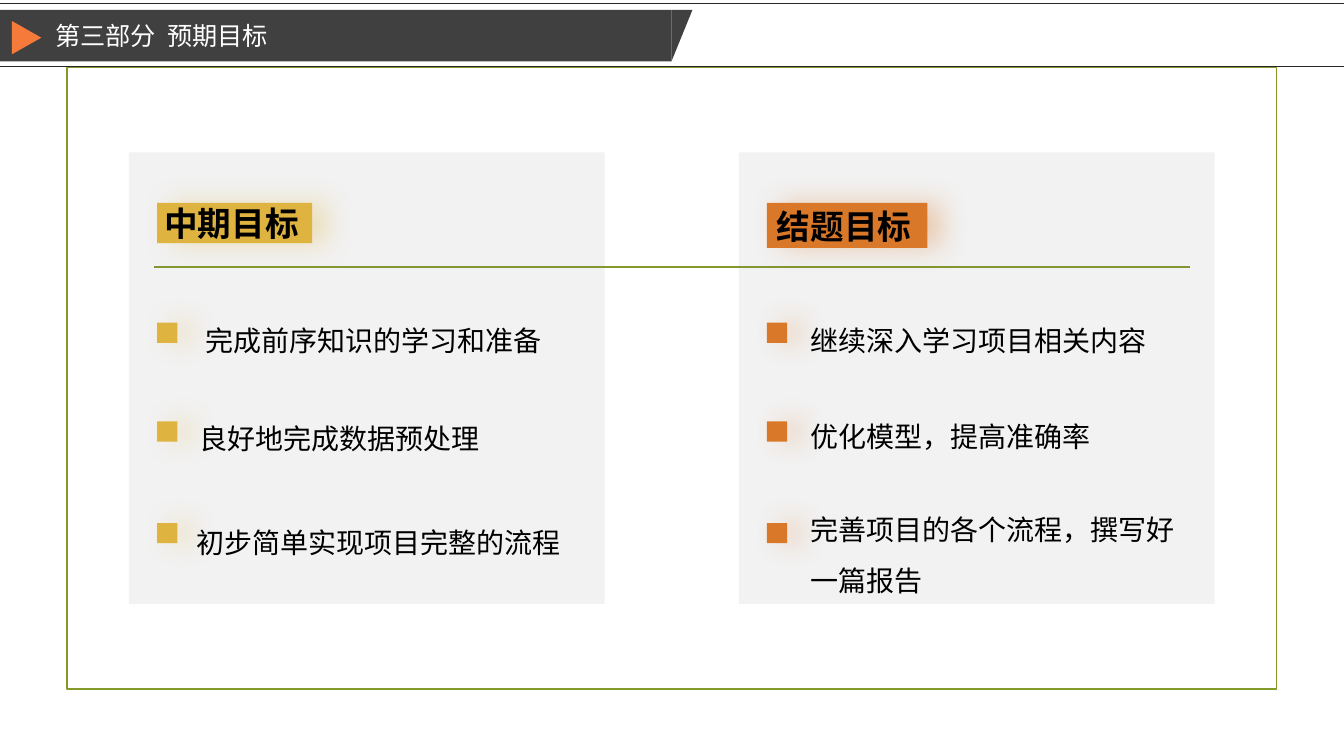
from dataclasses import dataclass

from lxml.etree import SubElement
from pptx import Presentation
from pptx.dml.color import RGBColor
from pptx.enum.shapes import MSO_CONNECTOR, MSO_SHAPE
from pptx.enum.text import MSO_ANCHOR, MSO_AUTO_SIZE, PP_ALIGN
from pptx.oxml.ns import qn
from pptx.util import Cm, Pt


@dataclass(frozen=True)
class Theme:
    font: str = "Arial"
    black: str = "000000"
    white: str = "FFFFFF"
    green: str = "83992A"
    rule: str = "262626"
    header: str = "404040"
    arrow: str = "F67A3A"
    card: str = "808080"
    yellow: str = "DEB340"
    orange: str = "D97828"
    title_size: int = 18
    heading_size: int = 24
    body_size: int = 20


def write_text(shape, text, size, color, font, bold=False, spacing=1.0,
               anchor=MSO_ANCHOR.TOP, wrap=True):
    frame = shape.text_frame
    frame.text = text
    frame.word_wrap = wrap
    frame.auto_size = MSO_AUTO_SIZE.SHAPE_TO_FIT_TEXT
    frame.vertical_anchor = anchor
    frame.margin_left = frame.margin_right = Cm(0.25)
    frame.margin_top = frame.margin_bottom = Cm(0.13)
    paragraph = frame.paragraphs[0]
    paragraph.alignment = PP_ALIGN.LEFT
    paragraph.line_spacing = spacing
    run = paragraph.runs[0]
    run.font.name = font
    run.font.size = Pt(size)
    run.font.bold = bold
    run.font.color.rgb = RGBColor.from_string(color)


class SlideBuilder:
    def __init__(self, slide, theme):
        self.slide = slide
        self.theme = theme

    def shape(self, kind, left, top, width, height, fill=None, line=None,
              opacity=None, glow=False, rotation=0):
        shape = self.slide.shapes.add_shape(
            kind, Cm(left), Cm(top), Cm(width), Cm(height))
        shape.shadow.inherit = False
        shape.rotation = rotation
        if fill:
            shape.fill.solid()
            shape.fill.fore_color.rgb = RGBColor.from_string(fill)
        else:
            shape.fill.background()
        if line:
            shape.line.color.rgb = RGBColor.from_string(line)
            shape.line.width = Pt(1.25)
        else:
            shape.line.fill.background()
        properties = shape._element.spPr
        if opacity:
            color = properties.find(qn("a:solidFill"))[0]
            SubElement(color, qn("a:alpha"), val=str(opacity * 1000))
        if glow:
            shadow = SubElement(
                properties.find(qn("a:effectLst")), qn("a:outerShdw"),
                blurRad=str(Pt(20)), dist=str(Pt(10)), dir="0",
                algn="l", rotWithShape="0")
            color = SubElement(shadow, qn("a:srgbClr"), val=fill)
            SubElement(color, qn("a:alpha"), val="32000")
        return shape

    def horizontal_line(self, left, right, top, color, width):
        line = self.slide.shapes.add_connector(
            MSO_CONNECTOR.STRAIGHT, Cm(left), Cm(top), Cm(right), Cm(top))
        line.line.color.rgb = RGBColor.from_string(color)
        line.line.width = Pt(width)
        SubElement(line._element.spPr, qn("a:effectLst"))

    def text(self, text, left, top, width, height, **style):
        box = self.slide.shapes.add_textbox(
            Cm(left), Cm(top), Cm(width), Cm(height))
        write_text(box, text, color=self.theme.black, font=self.theme.font,
                   **style)

    def title(self, text, left, top, width, height):
        title = self.slide.shapes.title
        title.left, title.top = Cm(left), Cm(top)
        title.width, title.height = Cm(width), Cm(height)
        write_text(title, text, self.theme.title_size, self.theme.white,
                   self.theme.font, wrap=False)
        self.slide.shapes._spTree.append(title._element)

    def header(self, text):
        theme = self.theme
        for top in (0.1, 1.68):
            self.horizontal_line(0, 33.87, top, theme.rule, 0.75)
        self.shape(MSO_SHAPE.RECTANGLE, 0, 0.25, 16.92, 1.3, theme.header)
        slant = self.shape(MSO_SHAPE.ISOSCELES_TRIANGLE, 16.92, 0.25,
                           0.53, 1.3, theme.header, rotation=180)
        slant.adjustments[0] = 1
        self.title(text, 1.14, 0.38, 6.17, 1.02)
        self.shape(MSO_SHAPE.ISOSCELES_TRIANGLE, 0.25, 0.58, 0.84, 0.74,
                   theme.arrow, rotation=90)

    def goal_card(self, left, color, heading, tag_size, heading_at, goals):
        theme = self.theme
        marker_left = left + 0.71
        self.shape(MSO_SHAPE.RECTANGLE, left, 3.84, 11.99, 11.38,
                   theme.card, opacity=10)
        self.shape(MSO_SHAPE.RECTANGLE, marker_left, 5.11, *tag_size,
                   color, glow=True)
        self.text(heading, *heading_at, 5.33, 1.27, size=theme.heading_size,
                  bold=True, anchor=MSO_ANCHOR.MIDDLE)
        for marker_top, goal in zip((8.13, 10.62, 13.18), goals):
            self.shape(MSO_SHAPE.RECTANGLE, marker_left, marker_top,
                       0.51, 0.51, color, glow=True)
            self.text(*goal, size=theme.body_size, spacing=1.5)


def main():
    presentation = Presentation()
    presentation.slide_width = Cm(33.87)
    presentation.slide_height = Cm(19.05)
    slide = presentation.slides.add_slide(presentation.slide_layouts[5])
    theme = Theme()
    builder = SlideBuilder(slide, theme)

    builder.shape(MSO_SHAPE.RECTANGLE, 1.69, 1.7, 30.48, 15.67,
                  line=theme.green)
    builder.horizontal_line(3.89, 30, 6.73, theme.green, 1.25)
    builder.goal_card(3.25, theme.yellow, "中期目标", (3.91, 1.02), (3.89, 4.98), [
        ("完成前序知识的学习和准备", 4.93, 7.59, 9.02, 1.38),
        ("良好地完成数据预处理", 4.78, 10.08, 9.02, 1.38),
        ("初步简单实现项目完整的流程", 4.7, 12.7, 9.83, 1.38),
    ])
    builder.goal_card(18.62, theme.orange, "结题目标", (4.04, 1.14), (19.33, 5.05), [
        ("继续深入学习项目相关内容", 20.17, 7.59, 9.02, 1.38),
        ("优化模型，提高准确率", 20.17, 10.03, 9.02, 1.38),
        ("完善项目的各个流程，撰写好一篇报告", 20.17, 12.37, 9.83, 2.67),
    ])
    builder.header("第三部分  预期目标")
    presentation.save("out.pptx")


if __name__ == "__main__":
    main()
